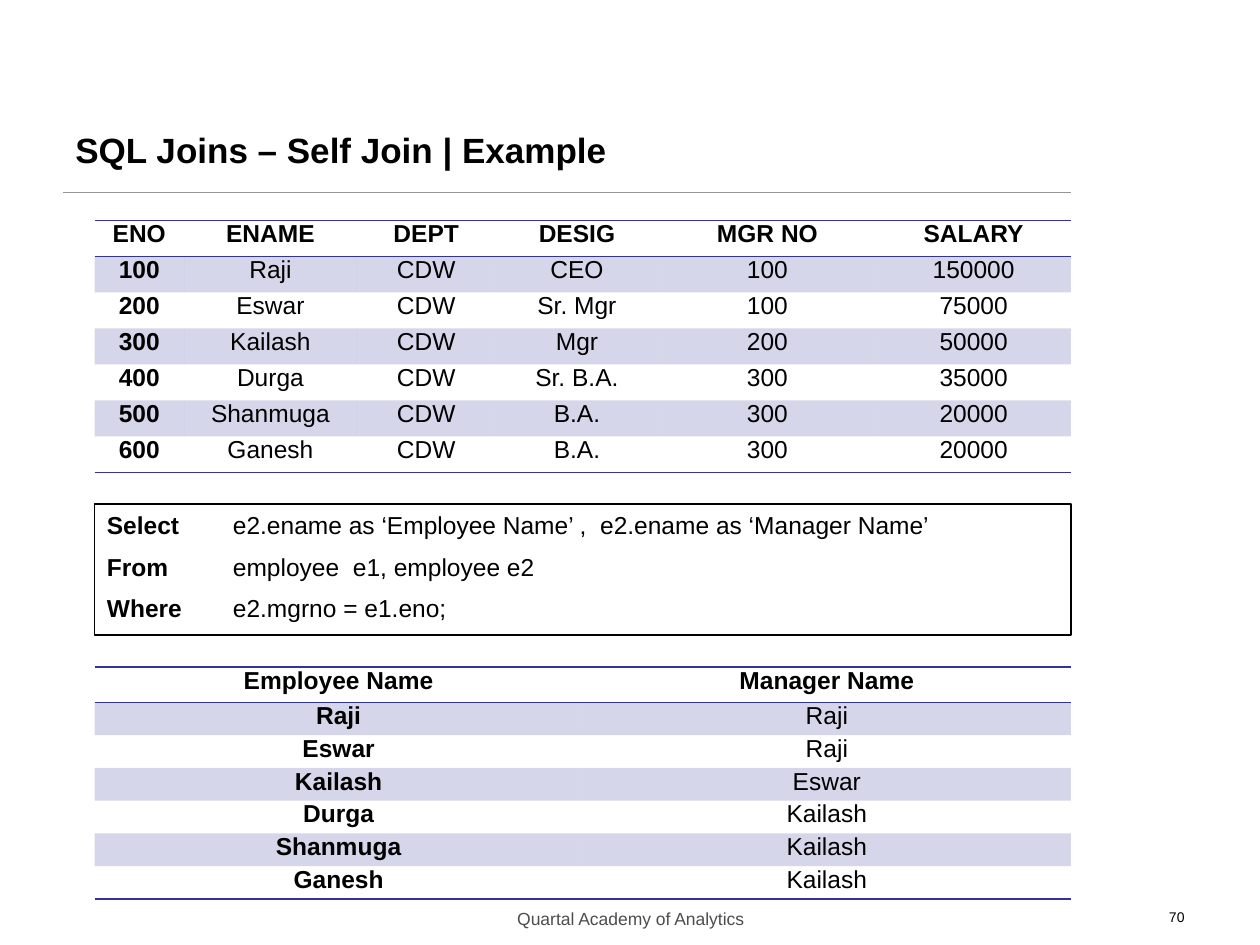
from lxml.etree import SubElement
from pptx import Presentation
from pptx.dml.color import RGBColor
from pptx.enum.shapes import MSO_CONNECTOR as Connector, MSO_SHAPE as Shape
from pptx.enum.text import MSO_ANCHOR as Anchor, PP_ALIGN as Align
from pptx.oxml import parse_xml
from pptx.oxml.ns import nsdecls, qn
from pptx.util import Inches, Pt

COLORS = {"ink": "000000", "footer": "4D4D4D", "rule": "969696", "accent": "333399"}
PLAIN_TABLE = "{2D5ABB26-0587-4C30-8999-92F81FD0307C}"
LEFT, WIDTH = 3, 31

EMPLOYEES = [
    ("ENO", "ENAME", "DEPT", "DESIG", "MGR NO", "SALARY"),
    ("100", "Raji", "CDW", "CEO", "100", "150000"),
    ("200", "Eswar", "CDW", "Sr. Mgr", "100", "75000"),
    ("300", "Kailash", "CDW", "Mgr", "200", "50000"),
    ("400", "Durga", "CDW", "Sr. B.A.", "300", "35000"),
    ("500", "Shanmuga", "CDW", "B.A.", "300", "20000"),
    ("600", "Ganesh", "CDW", "B.A.", "300", "20000"),
]
MANAGERS = [
    ("Employee Name", "Manager Name"),
    ("Raji", "Raji"),
    ("Eswar", "Raji"),
    ("Kailash", "Eswar"),
    ("Durga", "Kailash"),
    ("Shanmuga", "Kailash"),
    ("Ganesh", "Kailash"),
]
QUERY = [
    ("Select", "e2.ename as ‘Employee Name’ ,  e2.ename as ‘Manager Name’"),
    ("From", "employee  e1, employee e2"),
    ("Where", "e2.mgrno = e1.eno;"),
]


class Page:
    font, body_size = "Arial", 14

    def __init__(self, deck, columns=40, rows=30):
        self.slide = deck.slides.add_slide(deck.slide_layouts[6])
        self.unit_x = deck.slide_width / columns
        self.unit_y = deck.slide_height / rows

    def place(self, column, row, width, height):
        return (round(column * self.unit_x), round(row * self.unit_y),
                round(width * self.unit_x), round(height * self.unit_y))

    def style(self, para, size=body_size, color="ink", bold=None, align=Align.LEFT):
        para.alignment = align
        para.font.name = self.font
        para.font.size = Pt(size)
        para.font.bold = bold
        para.font.color.rgb = RGBColor.from_string(COLORS[color])

    def rule(self, column, row, width):
        left, top, length, _ = self.place(column, row, width, 0)
        line = self.slide.shapes.add_connector(
            Connector.STRAIGHT, left, top, left + length, top)
        line.line.color.rgb = RGBColor.from_string(COLORS["rule"])
        line.line.width = Pt(0.75)
        SubElement(line._element.spPr, qn("a:effectLst"))

    def text(self, words, area, anchor=Anchor.TOP, **style):
        frame = self.slide.shapes.add_textbox(*self.place(*area)).text_frame
        frame.word_wrap = True
        frame.vertical_anchor = anchor
        frame.text = words
        self.style(frame.paragraphs[0], **style)

    def tab_stop(self, para, columns):
        stops = SubElement(para._p.get_or_add_pPr(), qn("a:tabLst"))
        SubElement(stops, qn("a:tab"), pos=str(round(columns * self.unit_x)), algn="l")

    def query(self, clauses, area, indent=4):
        box = self.slide.shapes.add_shape(Shape.RECTANGLE, *self.place(*area))
        box.shadow.inherit = False
        box.fill.background()
        box.line.color.rgb = RGBColor.from_string(COLORS["ink"])
        box.line.width = Pt(0.75)
        frame = box.text_frame
        frame.vertical_anchor = Anchor.TOP
        for index, (keyword, clause) in enumerate(clauses):
            para = frame.add_paragraph() if index else frame.paragraphs[0]
            para.space_before = Pt(7 if index else 0)
            self.tab_stop(para, indent)
            for words, bold in ((keyword, True), ("\t" + clause, False)):
                span = para.add_run()
                span.text = words
                span.font.bold = bold
            self.style(para)

    def border(self, cell, side):
        cell._tc.get_or_add_tcPr().insert(0, parse_xml(
            f'<a:{side} {nsdecls("a")} w="12700"><a:solidFill>'
            f'<a:srgbClr val="{COLORS["accent"]}"/></a:solidFill></a:{side}>'))

    def shade(self, cell):
        cell.fill.solid()
        cell.fill.fore_color.rgb = RGBColor.from_string(COLORS["accent"])
        color = cell._tc.tcPr.find(".//" + qn("a:srgbClr"))
        SubElement(color, qn("a:alpha"), val="20000")

    def table(self, records, area, widths, header=1):
        place = self.place(*area)
        table = self.slide.shapes.add_table(len(records), len(widths), *place).table
        table._tbl.tblPr.find(qn("a:tableStyleId")).text = PLAIN_TABLE
        table.horz_banding = False
        for column, share in zip(table.columns, widths):
            column.width = round(place[2] * share / sum(widths))
        last = len(records) - 1
        for index, record in enumerate(records):
            table.rows[index].height = round(
                place[3] * (1 if index else header) / (last + header))
            for position, words in enumerate(record):
                cell = table.cell(index, position)
                cell.margin_left = cell.margin_right = 0
                cell.margin_top = cell.margin_bottom = 0
                cell.text = words
                self.style(cell.text_frame.paragraphs[0], align=Align.CENTER,
                           bold=index == 0 or position == 0)
                if index % 2:
                    self.shade(cell)
                else:
                    cell.fill.background()
                if index in (0, last):
                    self.border(cell, "lnB")
                if index == 0:
                    self.border(cell, "lnT")


def main():
    deck = Presentation()
    deck.slide_width, deck.slide_height = Inches(10), Inches(7.5)
    page = Page(deck)
    page.rule(2, 6.12, 32)
    page.text("Quartal Academy of Analytics", (13.68, 28.64, 12.68, 1),
              size=10, color="footer", align=Align.CENTER)
    page.text("70", (28.68, 28.64, 9.32, 1), size=8, align=Align.RIGHT)
    page.text("SQL Joins – Self Join | Example", (2, 3.4, 30, 2.68),
              anchor=Anchor.MIDDLE, size=20, bold=True)
    page.table(EMPLOYEES, (LEFT, 7, WIDTH, 8), (0.71, 1.37, 1.1, 1.29, 1.73, 1.54))
    page.table(MANAGERS, (LEFT, 21.18, WIDTH, 7.36), (1, 1), header=1.08)
    page.query(QUERY, (LEFT, 16, WIDTH, 4.16))
    deck.save("out.pptx")


if __name__ == "__main__":
    main()
